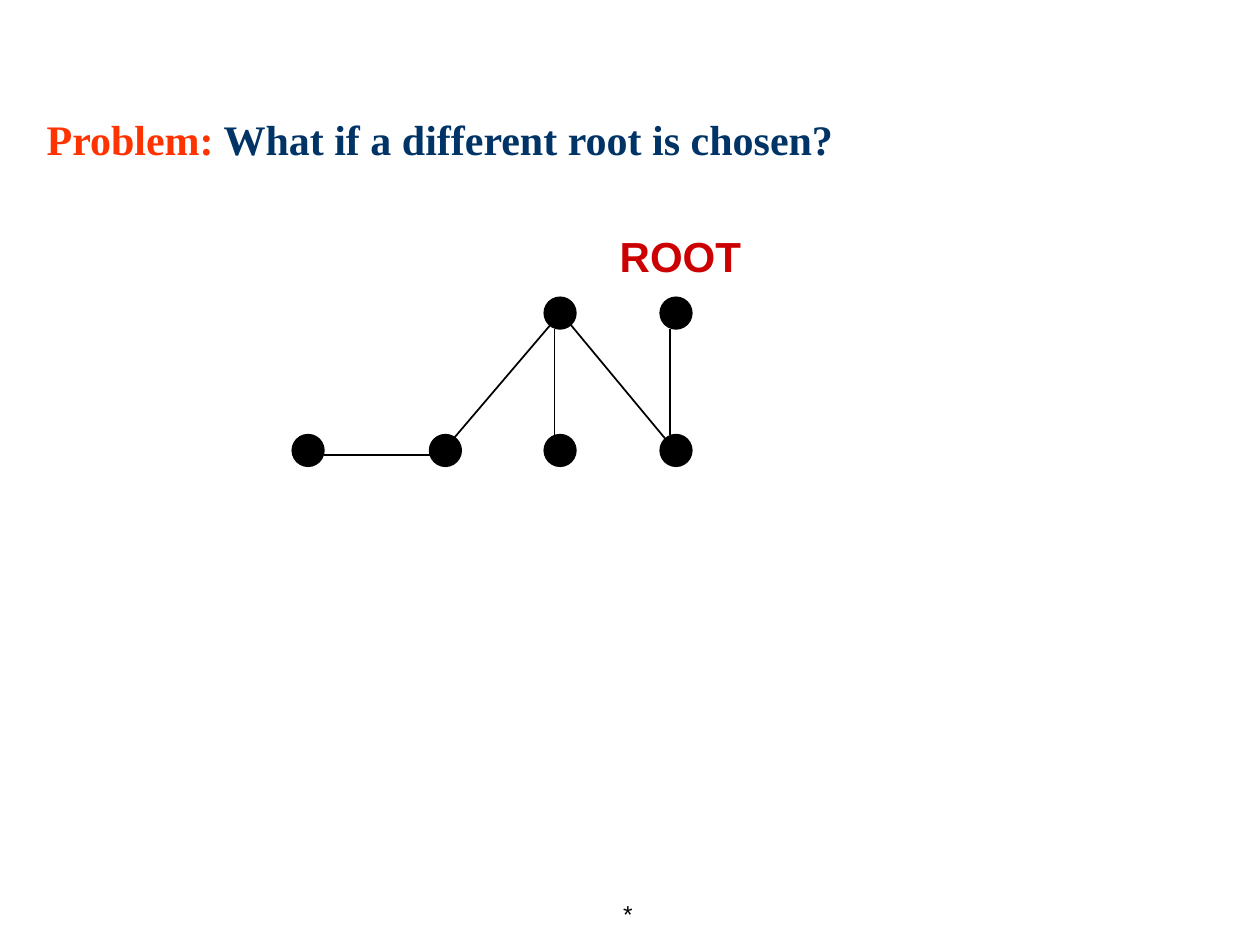
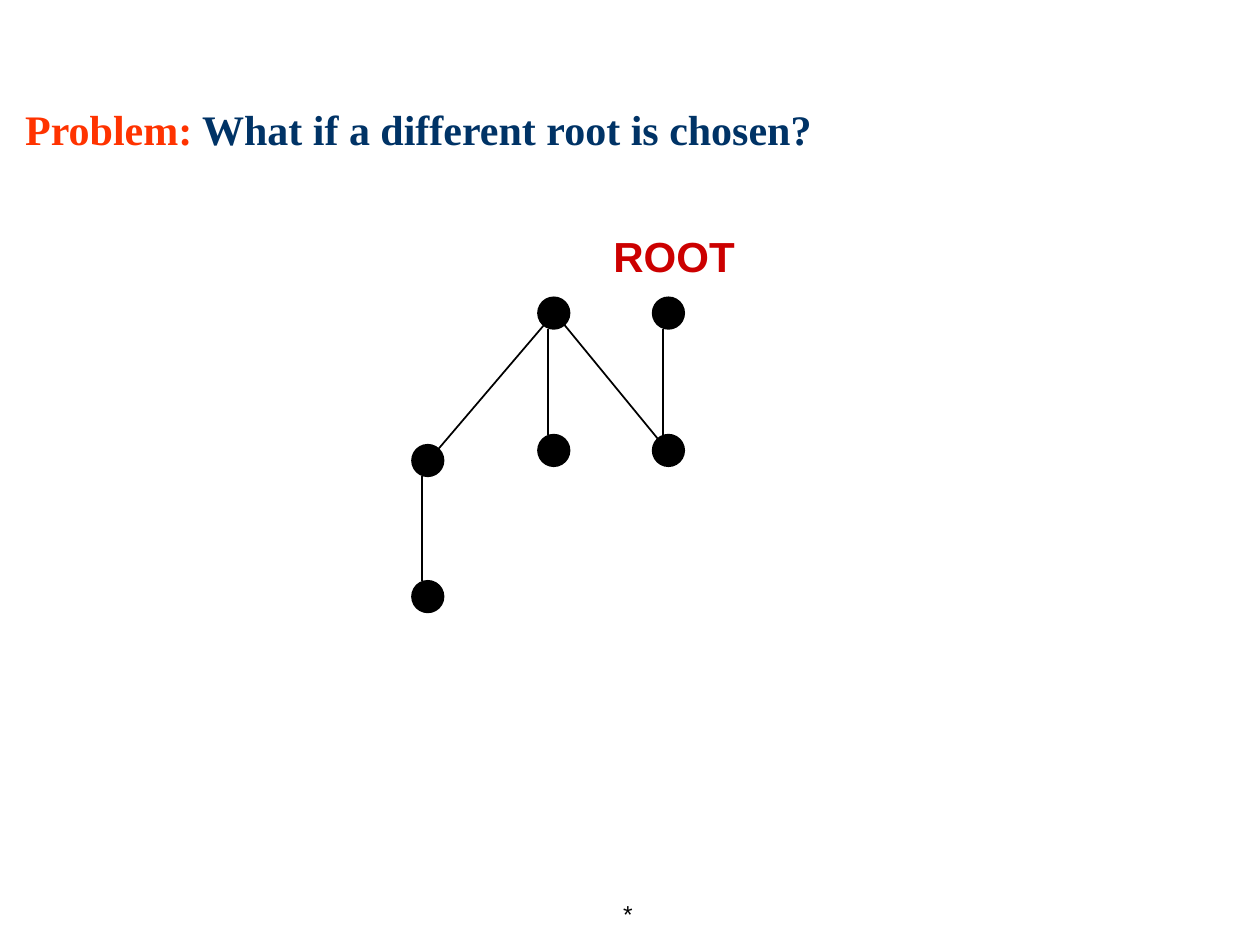
from typing import NamedTuple

import pptx
import pptx.dml.color
import pptx.enum.shapes
import pptx.enum.text
import pptx.oxml
import pptx.oxml.ns
import pptx.shapes.group
import pptx.slide
import pptx.text.text
import pptx.util

# Lengths are in px, 100 px to the inch
EMU_PER_PX = 9144
NODE_SIZE = 25

BLACK = pptx.dml.color.RGBColor(0x00, 0x00, 0x00)
ORANGE = pptx.dml.color.RGBColor(0xFF, 0x33, 0x00)
NAVY = pptx.dml.color.RGBColor(0x00, 0x33, 0x66)
RED = pptx.dml.color.RGBColor(0xCC, 0x00, 0x00)

SANS = "Arial"
SERIF = "Times New Roman"


class Point(NamedTuple):
    x: int
    y: int

    def moved(self, right: int, down: int) -> "Point":
        return Point(self.x + right, self.y + down)


class Box(NamedTuple):
    left: int
    top: int
    width: int
    height: int


class Edge(NamedTuple):
    start: Point
    end: Point


class TreeSlide(NamedTuple):
    title_box: Box
    hub: Point
    root: Point
    left_child: Point
    leaf: Point
    leaf_edge: Edge


def px(length: int) -> pptx.util.Emu:
    return pptx.util.Emu(length * EMU_PER_PX)


def vertical_edge(upper: Point, lower: Point) -> Edge:
    return Edge(upper.moved(8, NODE_SIZE), lower.moved(8, 0))


TREE_SLIDES = (
    TreeSlide(
        title_box=Box(27, 85, 900, 85),
        hub=Point(432, 236),
        root=Point(524, 236),
        left_child=Point(341, 345),
        leaf=Point(232, 345),
        leaf_edge=Edge(Point(257, 361), Point(341, 361)),
    ),
    TreeSlide(
        title_box=Box(10, 77, 900, 54),
        hub=Point(427, 236),
        root=Point(518, 236),
        left_child=Point(327, 353),
        leaf=Point(327, 461),
        leaf_edge=vertical_edge(Point(327, 353), Point(327, 461)),
    ),
)


def add_run(
    paragraph: pptx.text.text._Paragraph,
    text: str,
    font_name: str,
    size: int,
    color: pptx.dml.color.RGBColor,
    bold: bool = False,
) -> None:
    run = paragraph.add_run()
    run.text = text
    run.font.name = font_name
    run.font.size = pptx.util.Pt(size)
    run.font.bold = bold
    run.font.color.rgb = color


def add_title(slide: pptx.slide.Slide, box: Box) -> None:
    title = slide.shapes.title
    title.left, title.top, title.width, title.height = map(px, box)
    frame = title.text_frame
    frame.word_wrap = True
    frame.auto_size = pptx.enum.text.MSO_AUTO_SIZE.NONE
    frame.vertical_anchor = pptx.enum.text.MSO_ANCHOR.TOP
    paragraph = frame.paragraphs[0]
    paragraph.alignment = pptx.enum.text.PP_ALIGN.LEFT
    add_run(paragraph, "Problem:", SERIF, 24, ORANGE, bold=True)
    add_run(paragraph, " What if a different root is chosen?", SERIF, 24, NAVY, bold=True)


def add_footer(slide: pptx.slide.Slide) -> None:
    footer = slide.shapes.add_textbox(*map(px, Box(445, 700, 67, 50)))
    frame = footer.text_frame
    frame.word_wrap = False
    frame.vertical_anchor = pptx.enum.text.MSO_ANCHOR.MIDDLE
    paragraph = frame.paragraphs[0]
    paragraph.alignment = pptx.enum.text.PP_ALIGN.RIGHT
    add_run(paragraph, "*", SANS, 14, BLACK)


def add_node(group: pptx.shapes.group.GroupShape, corner: Point) -> None:
    node = group.shapes.add_shape(
        pptx.enum.shapes.MSO_SHAPE.OVAL,
        *map(px, Box(corner.x, corner.y, NODE_SIZE, NODE_SIZE)),
    )
    node.shadow.inherit = False
    node.fill.solid()
    node.fill.fore_color.rgb = BLACK
    node.line.color.rgb = BLACK
    node.line.width = pptx.util.Pt(1)


def add_edge(group: pptx.shapes.group.GroupShape, edge: Edge) -> None:
    connector = group.shapes.add_connector(
        pptx.enum.shapes.MSO_CONNECTOR.STRAIGHT,
        *map(px, (*edge.start, *edge.end)),
    )
    connector.line.color.rgb = BLACK
    connector.line.width = pptx.util.Pt(1)
    properties = connector._element.spPr
    properties.append(pptx.oxml.parse_xml(f"<a:effectLst {pptx.oxml.ns.nsdecls('a')}/>"))


def add_root_label(group: pptx.shapes.group.GroupShape, hub: Point) -> None:
    label = group.shapes.add_textbox(*map(px, Box(hub.x + 50, 178, 116, 50)))
    frame = label.text_frame
    frame.word_wrap = False
    frame.auto_size = pptx.enum.text.MSO_AUTO_SIZE.SHAPE_TO_FIT_TEXT
    add_run(frame.paragraphs[0], "ROOT", SANS, 24, RED, bold=True)


def add_tree(slide: pptx.slide.Slide, tree: TreeSlide) -> None:
    group = slide.shapes.add_group_shape()
    middle_child = tree.hub.moved(0, 109)
    right_child = tree.root.moved(0, 109)

    nodes = (tree.leaf, tree.left_child, tree.hub, middle_child, tree.root, right_child)
    edges = (
        tree.leaf_edge,
        vertical_edge(tree.hub, middle_child),
        vertical_edge(tree.root, right_child),
        Edge(tree.hub.moved(17, 17), right_child.moved(8, 8)),
        Edge(tree.hub.moved(9, 17), Point(tree.hub.x - 83, 361)),
    )
    for node in nodes:
        add_node(group, node)
    for edge in edges:
        add_edge(group, edge)
    add_root_label(group, tree.hub)


def main() -> None:
    presentation = pptx.Presentation()
    presentation.slide_width = px(1000)
    presentation.slide_height = px(750)
    title_only = presentation.slide_layouts[5]
    for tree in TREE_SLIDES:
        slide = presentation.slides.add_slide(title_only)
        add_footer(slide)
        add_title(slide, tree.title_box)
        add_tree(slide, tree)
    presentation.save("out.pptx")


if __name__ == "__main__":
    main()
